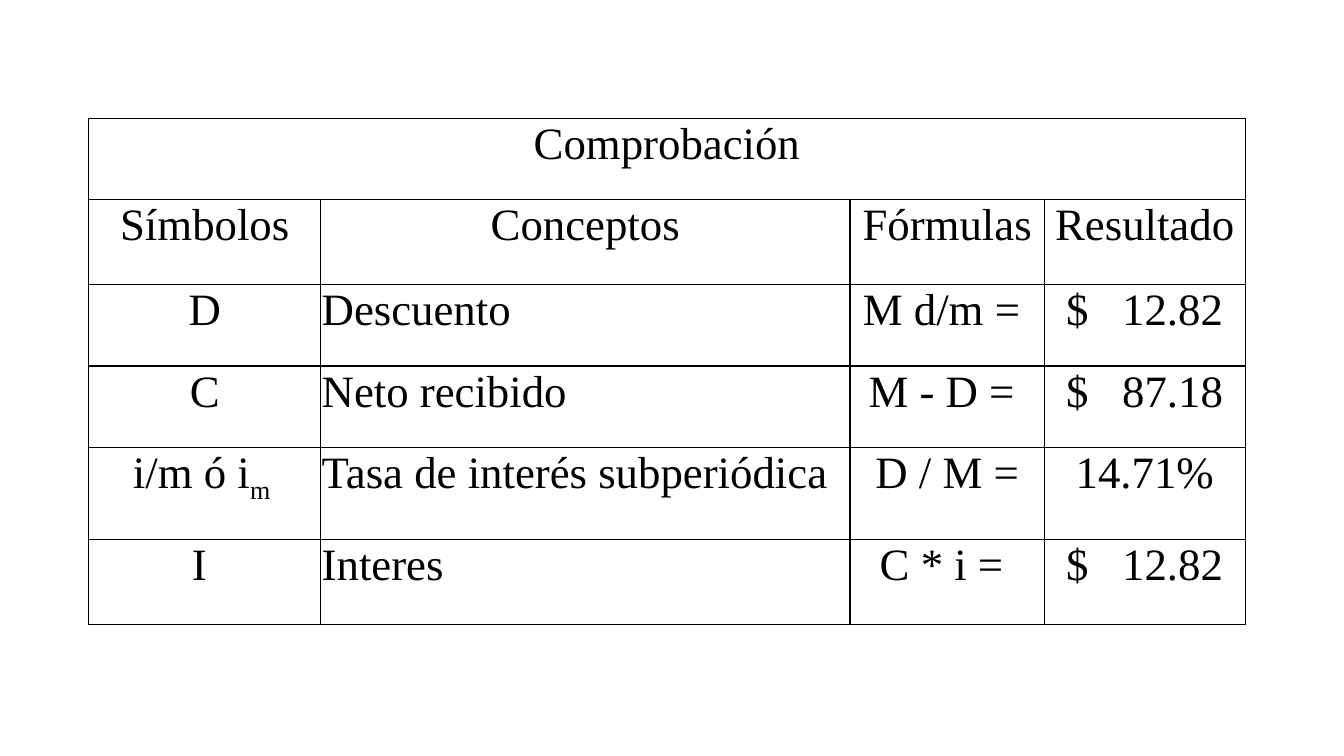
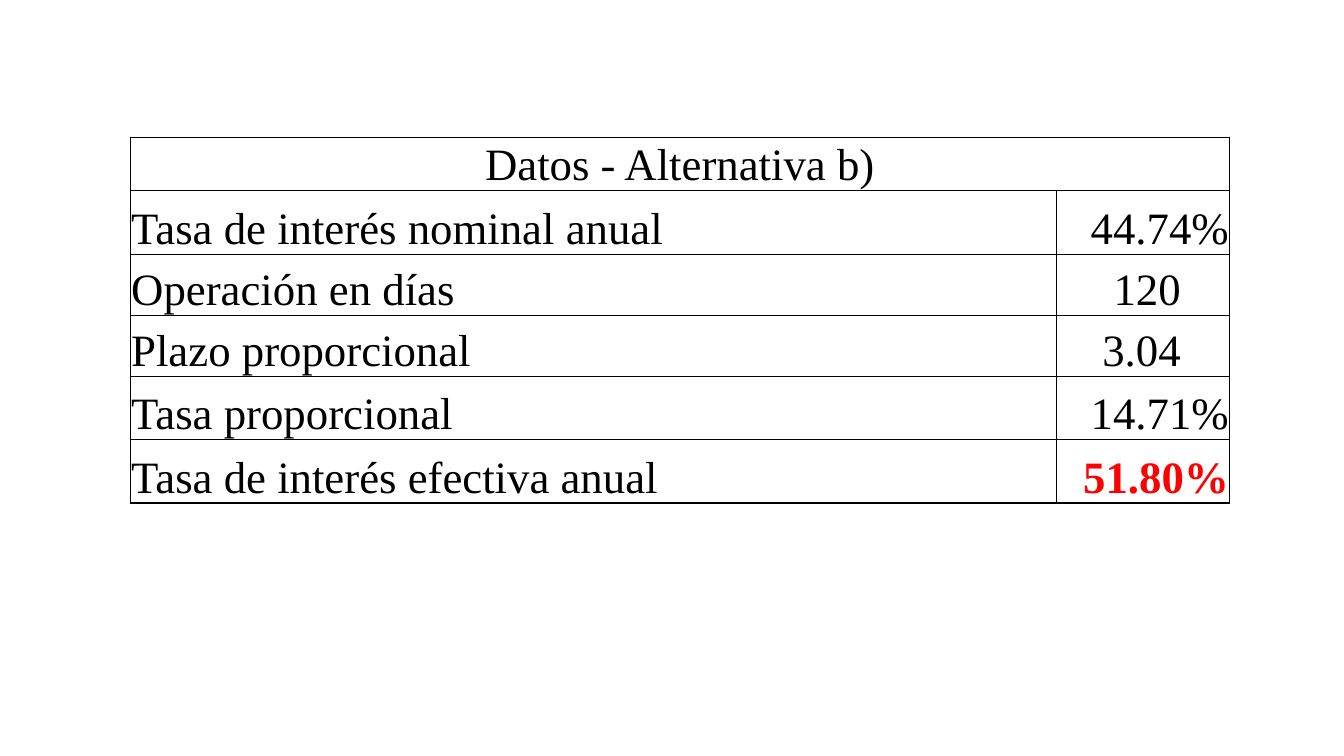
from pptx import Presentation
from pptx.dml.color import RGBColor
from pptx.enum.text import MSO_ANCHOR, PP_ALIGN
from pptx.oxml.ns import qn
from pptx.util import Pt
from lxml.etree import SubElement

BLACK = RGBColor(0x00, 0x00, 0x00)
RED = RGBColor(0xFF, 0x00, 0x00)
FONT = "Times New Roman"
TEXT_SIZE = 32
BORDER_WIDTH = 1
MARGIN = 0.7
MONEY_INDENT, MONEY_TAB = 15.5, 40
LEFT, CENTER, RIGHT = PP_ALIGN.LEFT, PP_ALIGN.CENTER, PP_ALIGN.RIGHT

CHECK = {
    "position": (63.5, 84.5),
    "columns": [165.6, 378, 139, 143.3],
    "heights": [58, 60.6, 58.4, 58.2, 65.8, 60.4],
    "anchor": MSO_ANCHOR.TOP,
    "alignments": [CENTER, LEFT, CENTER, CENTER],
    "rows": [
        ["Comprobación"],
        ["Símbolos", "Conceptos", "Fórmulas", "Resultado"],
        ["D", "Descuento", "M d/m = ", "$\t12.82"],
        ["C", "Neto recibido", "M - D = ", "$\t87.18"],
        ["i/m ó i", "Tasa de interés subperiódica", "D / M =", "14.71%"],
        ["I ", "Interes", "C * i = ", "$\t12.82"],
    ],
}
DATA = {
    "position": (93, 98),
    "columns": [661.7, 123.8],
    "heights": [38, 45.6, 43.6, 43.6, 45.2, 45.4],
    "anchor": MSO_ANCHOR.BOTTOM,
    "alignments": [LEFT, RIGHT],
    "rows": [
        ["Datos - Alternativa b)"],
        ["Tasa de interés nominal anual", "44.74%"],
        ["Operación en días", "120"],
        ["Plazo proporcional", "3.04"],
        ["Tasa proporcional", "14.71%"],
        ["Tasa de interés efectiva anual", "51.80%"],
    ],
}


def draw_borders(cell):
    properties = cell._tc.get_or_add_tcPr()
    for side in ("a:lnL", "a:lnR", "a:lnT", "a:lnB"):
        line = SubElement(properties, qn(side), w=str(Pt(BORDER_WIDTH)))
        fill = SubElement(line, qn("a:solidFill"))
        SubElement(fill, qn("a:srgbClr"), val=str(BLACK))


def style_run(run):
    run.font.name = FONT
    run.font.size = Pt(TEXT_SIZE)
    run.font.color.rgb = BLACK


def indent_left(cell, indent):
    cell.margin_left = Pt(indent)
    cell.text_frame.paragraphs[0].alignment = LEFT


def fill_cell(cell, text, alignment):
    cell.text_frame.text = text
    para = cell.text_frame.paragraphs[0]
    para.alignment = alignment
    for run in para.runs:
        style_run(run)
    if text.startswith("$"):
        indent_left(cell, MONEY_INDENT)
        stops = SubElement(para._p.get_or_add_pPr(), qn("a:tabLst"))
        SubElement(stops, qn("a:tab"), pos=str(Pt(MONEY_TAB)), algn="l")


def add_grid(deck, content):
    """Add a page with one ruled table whose first row is a merged title."""
    page = deck.slides.add_slide(deck.slide_layouts[6])
    rows, columns, heights = (content[key] for key in ("rows", "columns", "heights"))
    left, top = content["position"]
    table = page.shapes.add_table(
        len(rows), len(columns), Pt(left), Pt(top), Pt(sum(columns)), Pt(sum(heights))
    ).table
    table.first_row = table.horz_banding = False
    for column, width in zip(table.columns, columns):
        column.width = Pt(width)
    for row, height in zip(table.rows, heights):
        row.height = Pt(height)
    for cell in table.iter_cells():
        cell.margin_left = cell.margin_right = cell.margin_top = Pt(MARGIN)
        cell.margin_bottom = Pt(0)
        cell.vertical_anchor = content["anchor"]
        draw_borders(cell)
        cell.fill.background()
    table.cell(0, 0).merge(table.cell(0, len(columns) - 1))
    for index, texts in enumerate(rows):
        is_heading = len(texts) == 1 or (content is CHECK and index == 1)
        for position, text in enumerate(texts):
            alignment = CENTER if is_heading else content["alignments"][position]
            fill_cell(table.cell(index, position), text, alignment)
    return table


def main():
    deck = Presentation()
    deck.slide_width, deck.slide_height = Pt(960), Pt(540)

    check = add_grid(deck, CHECK)
    subscript = check.cell(4, 0).text_frame.paragraphs[0].add_run()
    subscript.text = "m "
    style_run(subscript)
    subscript._r.get_or_add_rPr().set("baseline", "-25000")

    data = add_grid(deck, DATA)
    indent_left(data.cell(2, 1), 40.7)
    indent_left(data.cell(3, 1), 32.7)
    effective_rate = data.cell(5, 1).text_frame.paragraphs[0].runs[0].font
    effective_rate.bold = True
    effective_rate.color.rgb = RED

    deck.save("out.pptx")


if __name__ == "__main__":
    main()
